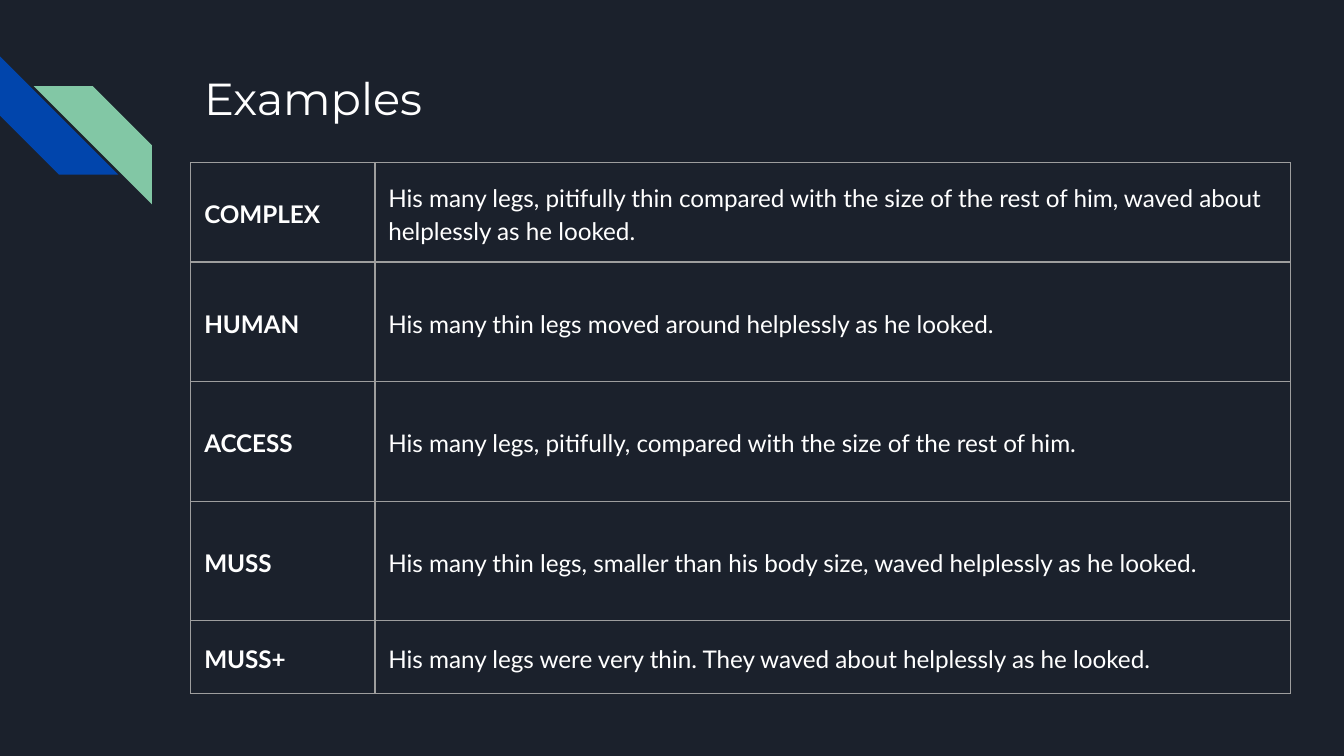
from lxml.etree import SubElement
from pptx import Presentation
from pptx.dml.color import RGBColor
from pptx.enum.shapes import MSO_SHAPE as Shape
from pptx.enum.text import MSO_ANCHOR as Anchor
from pptx.oxml.ns import qn
from pptx.util import Inches, Pt

COLORS = {
    "background": "1B212C",
    "blue": "0145AC",
    "green": "82C7A5",
    "text": "FFFFFF",
    "border": "9E9E9E",
}
EXAMPLES = [
    ("COMPLEX", "His many legs, pitifully thin compared with the size of the rest of him, "
                "waved about helplessly as he looked."),
    ("HUMAN", "His many thin legs moved around helplessly as he looked."),
    ("ACCESS", "His many legs, pitifully, compared with the size of the rest of him."),
    ("MUSS", "His many thin legs, smaller than his body size, waved helplessly as he looked."),
    ("MUSS+", "His many legs were very thin. They waved about helplessly as he looked."),
]
LABEL_WIDTH = 1.37
ROW_HEIGHTS = [0.74, 0.89, 0.89, 0.89, 0.54]
PADDING = Inches(0.1)


def color(name):
    return RGBColor.from_string(COLORS[name])


def pad(box):
    box.margin_left = box.margin_right = PADDING
    box.margin_top = box.margin_bottom = PADDING


def add_run(paragraph, text, font, size, bold=False):
    run = paragraph.add_run()
    run.text = text
    run.font.name = font
    run.font.size = Pt(size)
    run.font.bold = bold
    run.font.color.rgb = color("text")


def add_ribbons(slide, left, top, size):
    ribbons = [(0, 0, 270, "blue"), (0.25, 0.22, 90, "green")]
    for dx, dy, rotation, fill in ribbons:
        ribbon = slide.shapes.add_shape(
            Shape.DIAGONAL_STRIPE, Inches(left + dx), Inches(top + dy),
            Inches(size), Inches(size))
        ribbon.rotation = rotation
        ribbon.adjustments[0] = 0.5
        ribbon.shadow.inherit = False
        ribbon.fill.solid()
        ribbon.fill.fore_color.rgb = color(fill)
        ribbon.line.fill.background()


def add_title(slide, left, top, width, height):
    title = slide.shapes.add_textbox(
        Inches(left), Inches(top), Inches(width), Inches(height)).text_frame
    title.word_wrap = True
    pad(title)
    add_run(title.paragraphs[0], "Examples", "Montserrat", 24)


def add_borders(cell):
    properties = cell._tc.get_or_add_tcPr()
    for position, side in enumerate(("lnL", "lnR", "lnT", "lnB")):
        border = SubElement(properties, qn(f"a:{side}"), w=str(Pt(0.75)))
        fill = SubElement(border, qn("a:solidFill"))
        SubElement(fill, qn("a:srgbClr"), val=COLORS["border"])
        properties.insert(position, border)


def add_examples(slide, left, top, width):
    table = slide.shapes.add_table(
        len(EXAMPLES), 2, Inches(left), Inches(top),
        Inches(width), Inches(sum(ROW_HEIGHTS))).table
    table.first_row = table.horz_banding = False
    for column, column_width in zip(table.columns, (LABEL_WIDTH, width - LABEL_WIDTH)):
        column.width = Inches(column_width)
    for row, height, example in zip(table.rows, ROW_HEIGHTS, EXAMPLES):
        row.height = Inches(height)
        for index, (cell, text) in enumerate(zip(row.cells, example)):
            cell.fill.background()
            add_borders(cell)
            pad(cell)
            cell.vertical_anchor = Anchor.MIDDLE
            paragraph = cell.text_frame.paragraphs[0]
            paragraph.line_spacing = 1.15
            paragraph.space_after = Pt(12)
            add_run(paragraph, text, "Lato", 13, bold=index == 0)


def main():
    deck = Presentation()
    deck.slide_width = Inches(10)
    deck.slide_height = deck.slide_width * 9 // 16
    slide = deck.slides.add_slide(deck.slide_layouts[6])
    slide.background.fill.solid()
    slide.background.fill.fore_color.rgb = color("background")
    add_ribbons(slide, 0, 0.42, 0.88)
    add_title(slide, 1.42, 0.43, 7.7, 1)
    add_examples(slide, 1.42, 1.21, 8.18)
    deck.save("out.pptx")


if __name__ == "__main__":
    main()
